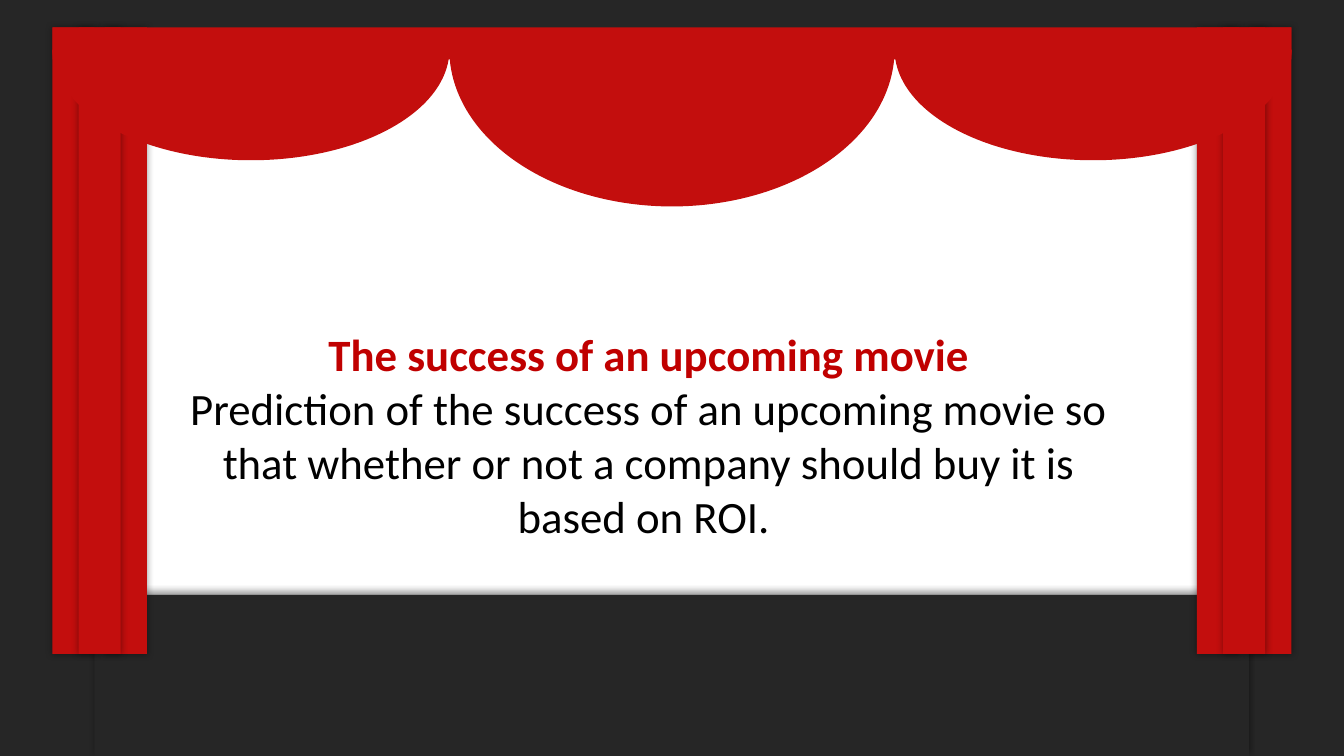
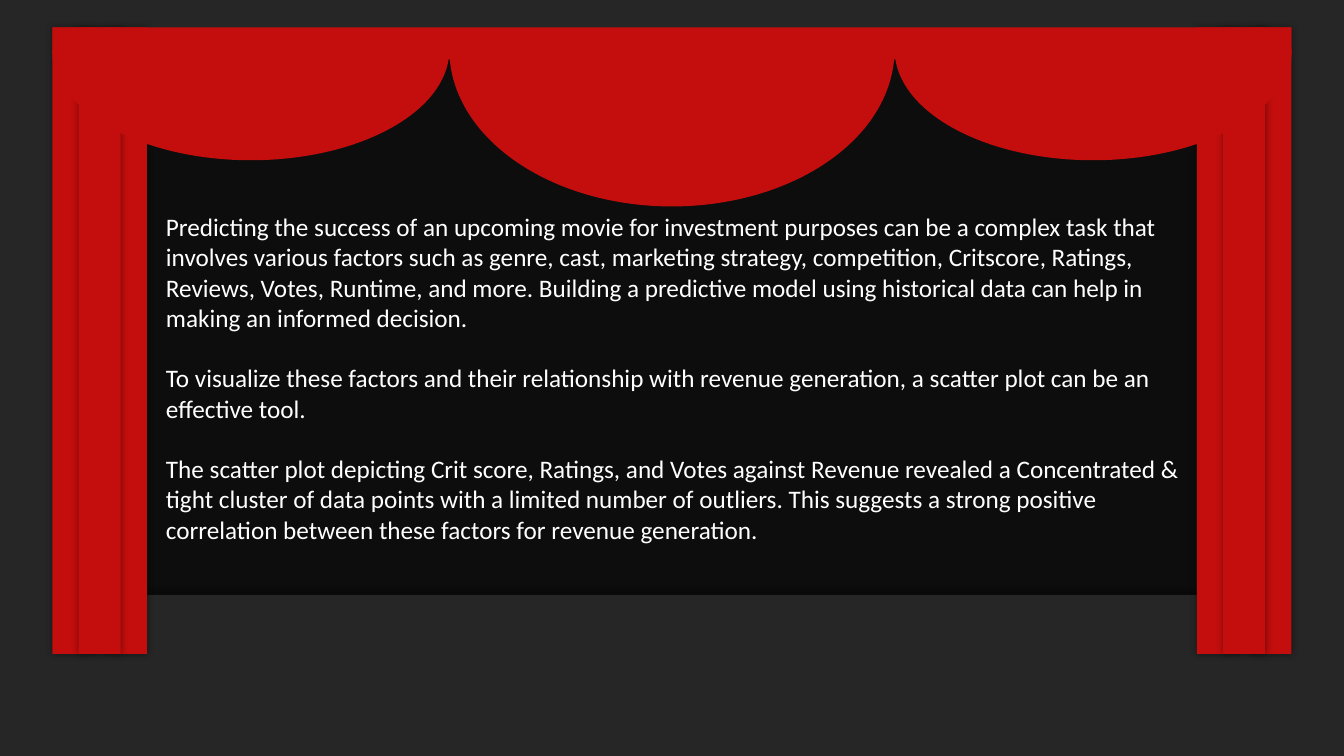
import pptx
import pptx.util
import pptx.dml.color
import pptx.enum.shapes
import pptx.enum.text
import pptx.oxml

Pt = pptx.util.Pt
RGBColor = pptx.dml.color.RGBColor
KIND = pptx.enum.shapes.MSO_SHAPE
ALIGN = pptx.enum.text.PP_ALIGN

RED = RGBColor(0xC3, 0x0E, 0x0D)
DEEP = RGBColor(0xC0, 0x00, 0x00)
DARK = RGBColor(0x26, 0x26, 0x26)
NIGHT = RGBColor(0x0D, 0x0D, 0x0D)
WHITE = RGBColor(0xFF, 0xFF, 0xFF)
BLACK = RGBColor(0x00, 0x00, 0x00)

WIDE, HIGH = 960, 540
STAGE = (37.5, 19.5, 885, 447.5)
FOLD_SHADE = (5, 0, 0)
FLOOR_SHADE = (4, 3, 270)

HEAD = {"size": Pt(32), "name": "Calibri", "bold": True}
LEAD = {"size": Pt(32), "name": "Calibri", "bold": False}
BODY = {"size": Pt(18), "name": "Calibri"}

GOAL = ("Prediction of the success of an upcoming movie so that whether or not "
        "a company should buy it is based on ROI. ")
NOTES = [
    "Predicting the success of an upcoming movie for investment purposes can be "
    "a complex task that involves various factors such as genre, cast, marketing "
    "strategy, competition, Critscore, Ratings, Reviews, Votes, Runtime, and more. "
    "Building a predictive model using historical data can help in making an "
    "informed decision.",
    "To visualize these factors and their relationship with revenue generation, "
    "a scatter plot can be an effective tool.",
    "The scatter plot depicting Crit score, Ratings, and Votes against Revenue "
    "revealed a Concentrated & tight cluster of data points with a limited number "
    "of outliers. This suggests a strong positive correlation between these "
    "factors for revenue generation.",
]


def add_shade(shape, blur, dist, angle):
    """Outer shadow: blur and distance in points, angle in degrees."""
    ns = 'xmlns:a="http://schemas.openxmlformats.org/drawingml/2006/main"'
    node = shape._element.spPr.find(pptx.oxml.ns.qn("a:effectLst"))
    node.append(pptx.oxml.parse_xml(
        f'<a:outerShdw {ns} blurRad="{Pt(blur)}" dist="{Pt(dist)}" '
        f'dir="{angle * 60000}" algn="ctr" rotWithShape="0">'
        '<a:srgbClr val="000000"><a:alpha val="40000"/></a:srgbClr></a:outerShdw>'))


def add_part(shapes, box, fill, kind=KIND.RECTANGLE, shade=None):
    part = shapes.add_shape(kind, *map(Pt, box))
    part.shadow.inherit = False
    part.fill.solid()
    part.fill.fore_color.rgb = fill
    part.line.fill.background()
    if shade:
        add_shade(part, *shade)
    return part


def draw_walls(slide):
    for box in ((891, 29, 69, 511), (0, 34.5, 69, 505.5), (0, 0, WIDE, 39.5)):
        add_part(slide.shapes, box, DARK)


def draw_floor(slide):
    add_part(slide.shapes, (67.5, 425, 824.5, 115), DARK, shade=FLOOR_SHADE)


def draw_drape(slide, box):
    """Three folds, the middle one in front."""
    left, top, width, height = box
    fold = 30
    for share in (0, 1, 0.5):
        spot = left + share * (width - fold)
        add_part(slide.shapes, (spot, top, fold, height), RED, shade=FOLD_SHADE)


def draw_swags(slide, box):
    """Layers of half ellipses hanging from one line."""
    left, top, width, _ = box
    side, hang = 283.5, top + 16
    mid = width - 2 * side
    for low, deep in ((158, 224), (126.5, 180), (93.5, 132.5)):
        layer = slide.shapes.add_group_shape()
        for start, span, tall in ((0, side, low), (width - side, side, low),
                                  (side, mid, deep)):
            swag = add_part(layer.shapes, (left + start, hang - tall / 2, span, tall),
                            RED, KIND.PIE)
            swag.adjustments[0] = 0
            swag.adjustments[1] = 108  # half a turn


def draw_stage(slide, back, front):
    """Background, frame and curtain; front puts the floor over the walls."""
    slide.background.fill.solid()
    slide.background.fill.fore_color.rgb = back
    steps = (draw_walls, draw_floor) if front else (draw_floor, draw_walls)
    for step in steps:
        step(slide)
    left, top, width, height = STAGE
    drape = 67.5
    for spot in (left, left + width - drape):
        draw_drape(slide, (spot, top, drape, height))
    add_part(slide.shapes, (left, top, width, 23), RED)
    draw_swags(slide, STAGE)


def set_text(shape, box, lines, style, color, align, gap=0):
    for name, value in zip(("left", "top", "width", "height"), box):
        setattr(shape, name, Pt(value))
    frame = shape.text_frame
    frame.text = "\n".join(lines)
    frame.word_wrap = True
    frame.auto_size = pptx.enum.text.MSO_AUTO_SIZE.NONE
    frame.vertical_anchor = pptx.enum.text.MSO_ANCHOR.TOP
    for para in frame.paragraphs:
        para.alignment = align
        para.space_after = Pt(gap)
        font = para.runs[0].font
        for name, value in style.items():
            setattr(font, name, value)
        font.color.rgb = color


def add_box(slide):
    return slide.shapes.add_textbox(0, 0, 0, 0)


def goal_slide(deck):
    slide = deck.slides.add_slide(deck.slide_layouts[5])
    draw_stage(slide, WHITE, True)
    left, top, width, height = 123, 229.5, 681, 163
    row = 39
    set_text(slide.shapes.title, (left, top, width, row + 7),
             ["The success of an upcoming movie"], HEAD, DEEP, ALIGN.CENTER)
    set_text(add_box(slide), (left, top + row, width, height - row),
             [GOAL], LEAD, BLACK, ALIGN.CENTER)


def notes_slide(deck):
    slide = deck.slides.add_slide(deck.slide_layouts[6])
    draw_stage(slide, NIGHT, False)
    set_text(add_box(slide), (111.5, 147.5, 739, 260),
             NOTES, BODY, WHITE, ALIGN.LEFT, 21.6)


def main():
    deck = pptx.Presentation()
    deck.slide_width, deck.slide_height = Pt(WIDE), Pt(HIGH)
    goal_slide(deck)
    notes_slide(deck)
    deck.save("out.pptx")


if __name__ == "__main__":
    main()
